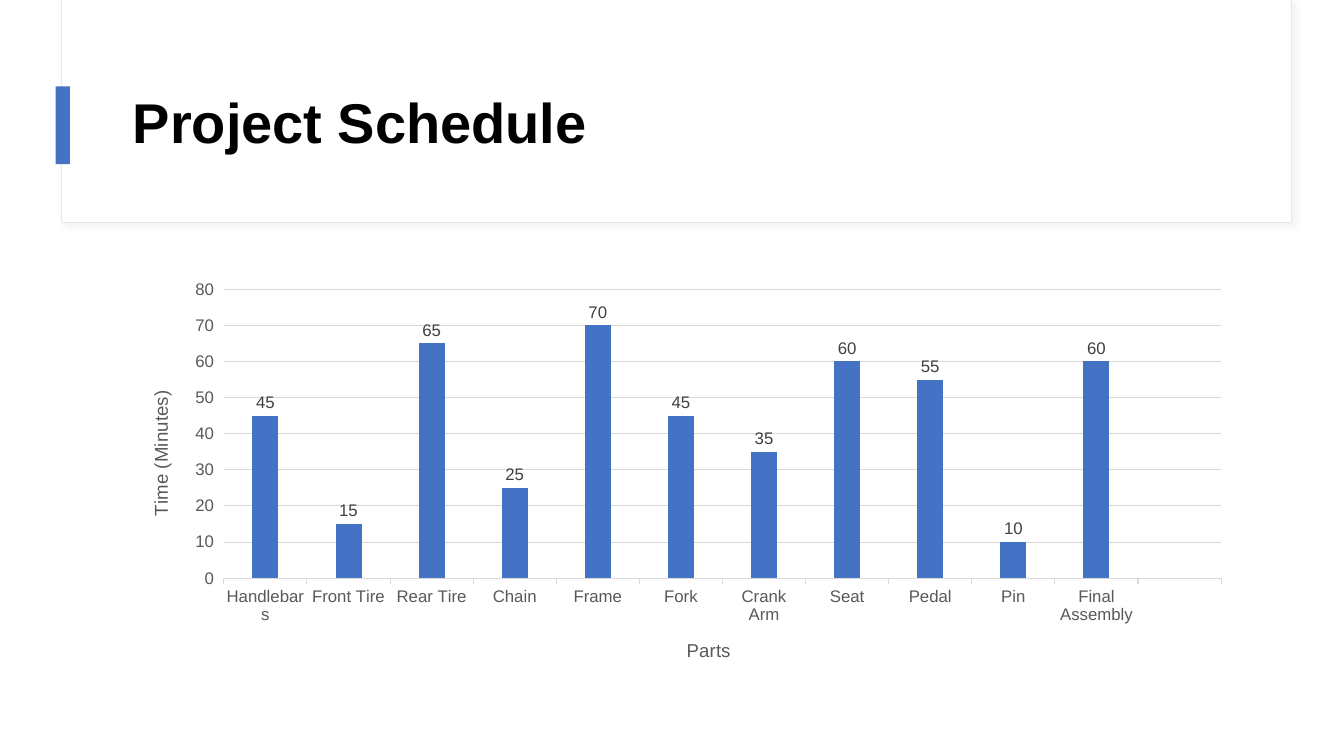
from lxml import etree
from pptx import Presentation
from pptx.chart.data import CategoryChartData
from pptx.dml.color import RGBColor
from pptx.enum.chart import XL_CHART_TYPE, XL_LABEL_POSITION, XL_TICK_MARK
from pptx.enum.shapes import MSO_SHAPE
from pptx.enum.text import MSO_ANCHOR
from pptx.oxml import parse_xml
from pptx.oxml.ns import nsdecls, qn
from pptx.util import Cm, Pt

# Content
TITLE = "Project Schedule"
PART_TITLE, TIME_TITLE = "Parts", "Time (Minutes)"
PART_MINUTES = [
    ("Handlebars", 45), ("Front Tire", 15), ("Rear Tire", 65), ("Chain", 25),
    ("Frame", 70), ("Fork", 45), ("Crank Arm", 35), ("Seat", 60),
    ("Pedal", 55), ("Pin", 10), ("Final Assembly", 60), ("", None),
]
COLORS = {
    "panel": "FFFFFF", "edge": "E4E8EE", "shadow": "D9D9D9", "accent": "4472C4",
    "title": "000000", "axis": "595959", "grid": "D9D9D9", "label": "404040",
}
FONT = "Arial"

# Geometry in centimetres: left, top, width, height
PANEL = (1.55, 0, 31.01, 5.61)
ACCENT = (1.4, 2.18, 0.36, 1.96)
TITLE_BOX = (3.1, 1.52, 28.24, 3.28)
CHART_BOX = (3.1, 6.88, 28.24, 10.26)
# Fractions of the chart area
PLOT_LAYOUT = {"x": 0.09, "y": 0.04, "w": 0.89, "h": 0.71}
PART_TITLE_LAYOUT = {"x": 0.5, "y": 0.89}
TIME_TITLE_LAYOUT = {"x": 0.02, "y": 0.28}


def color(name):
    return RGBColor.from_string(COLORS[name])


def style_font(font, size, color_name, bold=False):
    font.name, font.size, font.bold = FONT, Pt(size), bold
    font.color.rgb = color(color_name)


def add_block(slide, box, fill_name, line_name=None):
    shape = slide.shapes.add_shape(MSO_SHAPE.RECTANGLE, *map(Cm, box))
    shape.shadow.inherit = False
    shape.fill.solid()
    shape.fill.fore_color.rgb = color(fill_name)
    if line_name:
        shape.line.color.rgb = color(line_name)
        shape.line.width = Pt(0.75)
    else:
        shape.line.fill.background()
    return shape


def add_soft_shadow(shape):
    effects = shape._element.spPr.find(qn("a:effectLst"))
    effects.append(parse_xml(
        f'<a:outerShdw {nsdecls("a")} blurRad="{Pt(4)}" dist="{Pt(3)}" dir="2700000" '
        f'algn="tl" rotWithShape="0"><a:srgbClr val="{COLORS["shadow"]}">'
        '<a:alpha val="30000"/></a:srgbClr></a:outerShdw>'))


def set_layout(element, index, fractions, inner=False):
    for old_layout in element.findall(qn("c:layout")):
        element.remove(old_layout)
    layout = etree.Element(qn("c:layout"))
    manual = etree.SubElement(layout, qn("c:manualLayout"))
    settings = {"layoutTarget": "inner"} if inner else {}
    settings.update({f"{side}Mode": "edge" for side in "xy"})
    settings.update(fractions)
    for tag, value in settings.items():
        etree.SubElement(manual, qn(f"c:{tag}")).set("val", str(value))
    element.insert(index, layout)


def style_axis(axis, title, layout):
    style_font(axis.tick_labels.font, 12, "axis")
    axis.major_tick_mark = XL_TICK_MARK.OUTSIDE
    axis.minor_tick_mark = XL_TICK_MARK.NONE
    text_frame = axis.axis_title.text_frame
    text_frame.text = title
    style_font(text_frame.paragraphs[0].runs[0].font, 13.3, "axis")
    set_layout(axis.axis_title._element, 1, layout)


def add_schedule_chart(slide):
    data = CategoryChartData()
    data.categories = [part for part, _ in PART_MINUTES]
    data.add_series("Series 1", [minutes for _, minutes in PART_MINUTES])
    chart = slide.shapes.add_chart(
        XL_CHART_TYPE.COLUMN_CLUSTERED, *map(Cm, CHART_BOX), data).chart
    chart.has_legend = chart.has_title = False
    style_font(chart.font, 10, "title")
    set_layout(chart._chartSpace.chart.plotArea, 0, PLOT_LAYOUT, inner=True)

    # Axes
    part_axis, time_axis = chart.category_axis, chart.value_axis
    style_axis(part_axis, PART_TITLE, PART_TITLE_LAYOUT)
    style_axis(time_axis, TIME_TITLE, TIME_TITLE_LAYOUT)
    time_axis.minimum_scale, time_axis.maximum_scale, time_axis.major_unit = 0, 80, 10
    time_axis.format.line.fill.background()
    for line in (part_axis.format.line, time_axis.major_gridlines.format.line):
        line.color.rgb = color("grid")
        line.width = Pt(0.75)

    # Columns and value labels
    plot = chart.plots[0]
    plot.vary_by_categories = False
    plot.gap_width, plot.overlap = 219, -27
    series = plot.series[0]
    series.format.fill.solid()
    series.format.fill.fore_color.rgb = color("accent")
    labels = series.data_labels
    labels.show_value = True
    labels.position = XL_LABEL_POSITION.OUTSIDE_END
    style_font(labels.font, 12, "label")


def add_title(slide):
    text_frame = slide.shapes.add_textbox(*map(Cm, TITLE_BOX)).text_frame
    text_frame.word_wrap = True
    text_frame.vertical_anchor = MSO_ANCHOR.MIDDLE
    text_frame.text = TITLE
    paragraph = text_frame.paragraphs[0]
    paragraph.line_spacing = 0.9
    style_font(paragraph.runs[0].font, 40, "title", bold=True)


def main():
    presentation = Presentation()
    presentation.slide_width, presentation.slide_height = Cm(33.87), Cm(19.05)
    slide = presentation.slides.add_slide(presentation.slide_layouts[6])

    # Header panel with accent bar
    add_soft_shadow(add_block(slide, PANEL, "panel", "edge"))
    add_block(slide, ACCENT, "accent")
    add_title(slide)

    # Minutes per part
    add_schedule_chart(slide)
    presentation.save("out.pptx")


if __name__ == "__main__":
    main()
